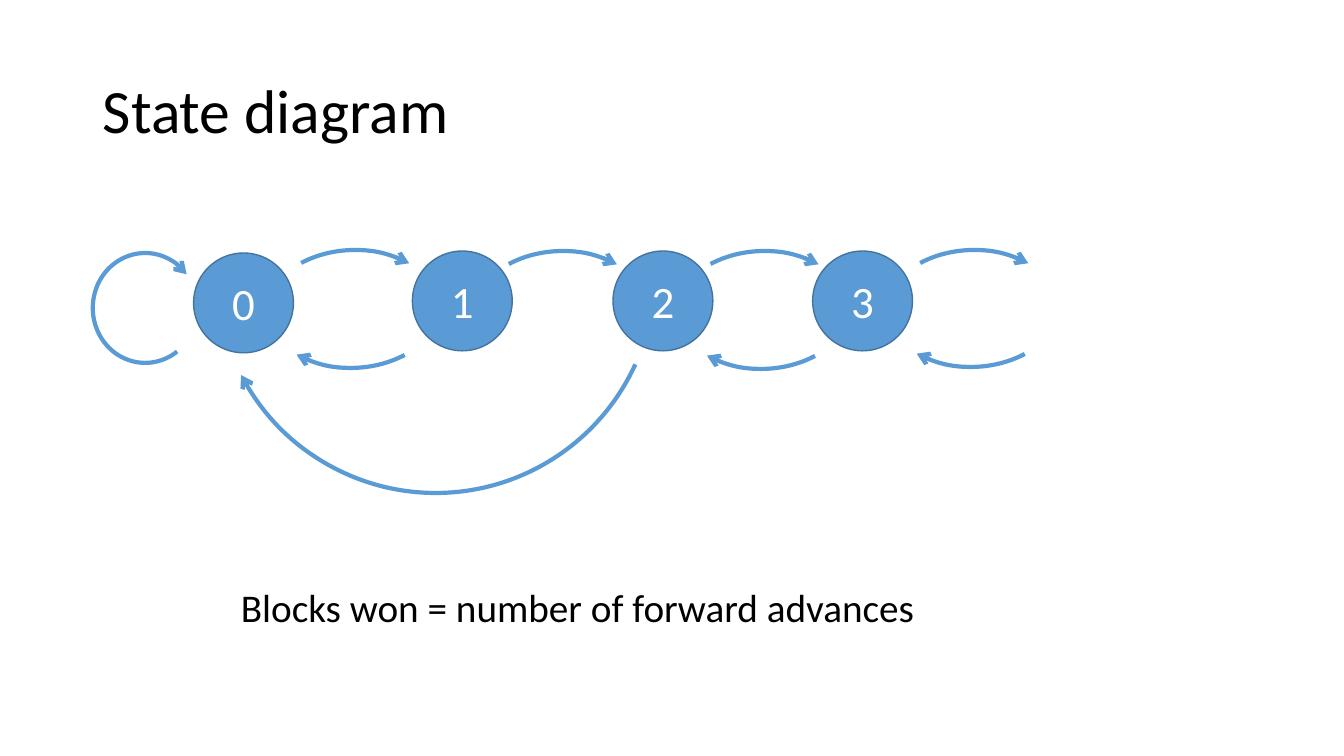
import pptx
import pptx.dml.color
import pptx.enum.shapes
import pptx.enum.text
import pptx.oxml
import pptx.oxml.ns
import pptx.util

Inches = pptx.util.Inches
Pt = pptx.util.Pt
RGBColor = pptx.dml.color.RGBColor
Shape = pptx.enum.shapes.MSO_SHAPE
Align = pptx.enum.text.PP_ALIGN
Anchor = pptx.enum.text.MSO_ANCHOR
AutoSize = pptx.enum.text.MSO_AUTO_SIZE

BLACK = RGBColor(0x00, 0x00, 0x00)
WHITE = RGBColor(0xFF, 0xFF, 0xFF)
BLUE = RGBColor(0x5B, 0x9B, 0xD5)
DARK_BLUE = RGBColor(0x43, 0x73, 0x9E)

STATE_SIZE = 0.99
STEP_SIZE = (2.02, 1.71)
STEP_ANGLES = (233.72, 306.68)
ADJUSTMENT_PER_DEGREE = 0.6


class StateSlide:
    font_name = "Calibri"

    def __init__(self, presentation):
        self.slide = presentation.slides.add_slide(presentation.slide_layouts[5])

    def set_text(self, shape, text, size, color, align, anchor):
        frame = shape.text_frame
        frame.text = text
        frame.word_wrap = True
        frame.vertical_anchor = anchor
        paragraph = frame.paragraphs[0]
        paragraph.alignment = align
        font = paragraph.runs[0].font
        font.name = self.font_name
        font.size = Pt(size)
        font.color.rgb = color
        return paragraph

    def title(self, text, left, top, width, height):
        shape = self.slide.shapes.title
        shape.left, shape.top = Inches(left), Inches(top)
        shape.width, shape.height = Inches(width), Inches(height)
        paragraph = self.set_text(shape, text, 44, BLACK, Align.LEFT, Anchor.MIDDLE)
        paragraph.line_spacing = 0.9
        shape.text_frame.auto_size = AutoSize.NONE

    def caption(self, text, left, top, width, height):
        shape = self.slide.shapes.add_textbox(
            Inches(left), Inches(top), Inches(width), Inches(height))
        self.set_text(shape, text, 28, BLACK, Align.LEFT, Anchor.TOP)
        shape.text_frame.auto_size = AutoSize.SHAPE_TO_FIT_TEXT

    def outline(self, kind, left, top, width, height, color, weight):
        shape = self.slide.shapes.add_shape(
            kind, Inches(left), Inches(top), Inches(width), Inches(height))
        shape.shadow.inherit = False
        shape.line.color.rgb = color
        shape.line.width = Pt(weight)
        return shape

    def state(self, label, left, top):
        shape = self.outline(
            Shape.OVAL, left, top, STATE_SIZE, STATE_SIZE, DARK_BLUE, 1)
        shape.fill.solid()
        shape.fill.fore_color.rgb = BLUE
        self.set_text(shape, label, 32, WHITE, Align.CENTER, Anchor.MIDDLE)

    def arc(self, left, top, size, angles, rotation=0):
        shape = self.outline(Shape.ARC, left, top, *size, BLUE, 3)
        shape.fill.background()
        shape.rotation = rotation
        for index, angle in enumerate(angles):
            shape.adjustments[index] = angle * ADJUSTMENT_PER_DEGREE
        arrowhead = pptx.oxml.parse_xml(
            f'<a:tailEnd {pptx.oxml.ns.nsdecls("a")} type="arrow"/>')
        shape.element.spPr.get_or_add_ln().append(arrowhead)


def main():
    presentation = pptx.Presentation()
    presentation.slide_width = Inches(13.33)
    presentation.slide_height = Inches(7.5)

    diagram = StateSlide(presentation)
    diagram.title("State diagram", 0.92, 0.4, 11.5, 1.45)

    states = [(1.92, 2.51), (4.09, 2.49), (6.08, 2.49), (8.06, 2.49)]
    for number, (left, top) in enumerate(states):
        diagram.state(str(number), left, top)

    for left, top in [(2.51, 2.48), (4.57, 2.49), (6.57, 2.49), (8.65, 2.48)]:
        diagram.arc(left, top, STEP_SIZE, STEP_ANGLES)
    for left, top in [(2.47, 1.94), (6.54, 1.95), (8.62, 1.93)]:
        diagram.arc(left, top, STEP_SIZE, STEP_ANGLES, rotation=180)

    diagram.arc(2.14, 0.51, (4.36, 4.38), (204.76, 332.13), rotation=180)
    diagram.arc(0.92, 2.51, (1.04, 1.09), (233.72, 140.9), rotation=180)

    diagram.caption("Blocks won = number of forward advances", 2.29, 5.74, 7.22, 0.57)
    presentation.save("out.pptx")


if __name__ == "__main__":
    main()
